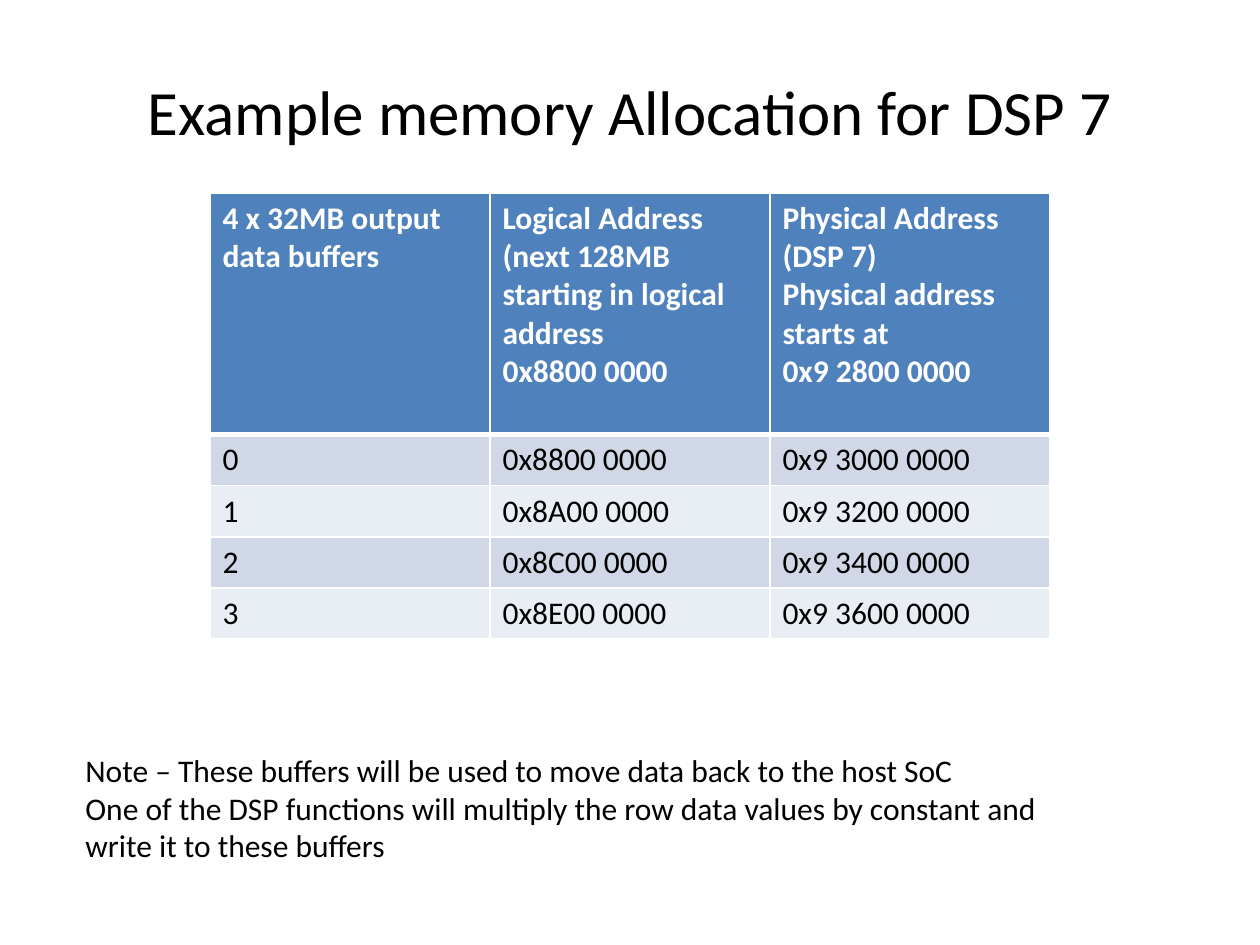
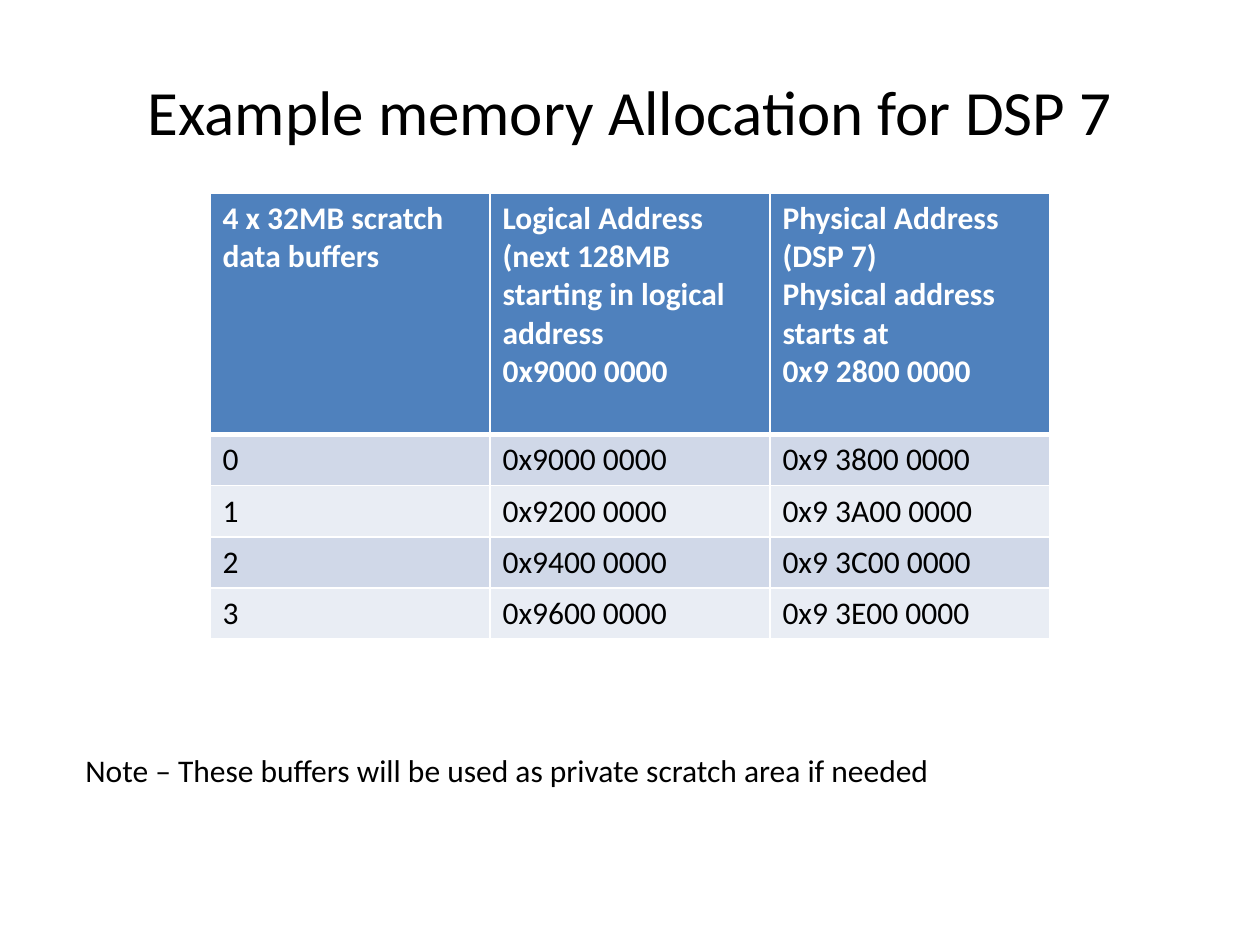
import pptx
import pptx.dml.color
import pptx.enum.text
import pptx.oxml
import pptx.oxml.ns
import pptx.util

COLORS = {
    "text": "000000",
    "header_text": "FFFFFF",
    "header": "4F81BD",
    "odd_row": "D0D8E8",
    "even_row": "E9EDF4",
    "border": "FFFFFF",
}
FONT = "Calibri"
TITLE = "Example memory Allocation for DSP 7"
BUFFER_SIZE = 0x200_0000  # 32 MB
BUFFER_COUNT = 4

SLIDES = [
    {
        "use": "output",
        "logical": 0x8800_0000,
        "physical": 0x9_3000_0000,
        "notes": [
            "Note – These buffers will be used to move data back to the host SoC",
            "One of the DSP functions will multiply the row data values by constant "
            "and write it to these buffers",
        ],
        "note_height": 1.01,
    },
    {
        "use": "scratch",
        "logical": 0x9000_0000,
        "physical": 0x9_3800_0000,
        "notes": ["Note – These buffers will be used as private scratch area if needed"],
        "note_height": 0.4,
    },
]


def style_text(text_frame, size, color, bold=False):
    for paragraph in text_frame.paragraphs:
        for run in paragraph.runs:
            run.font.name = FONT
            run.font.size = pptx.util.Pt(size)
            run.font.bold = bold
            run.font.color.rgb = pptx.dml.color.RGBColor.from_string(COLORS[color])


def format_address(address):
    return f"0x{address >> 16:X}"[:-4] + (
        f" {address >> 16 & 0xFFFF:04X} 0000" if address >> 32 else f"{address >> 16:04X} 0000"
    )


presentation = pptx.Presentation()
presentation.slide_width = pptx.util.Inches(10)
presentation.slide_height = pptx.util.Inches(7.5)
width = presentation.slide_width
title_only = presentation.slide_layouts[5]

for content in SLIDES:
    slide = presentation.slides.add_slide(title_only)

    # Title
    title = slide.shapes.title
    title.left, title.width = int(width * 0.075), int(width * 0.85)
    title.top, title.height = pptx.util.Inches(0.33), pptx.util.Inches(1.09)
    title.text_frame.text = TITLE
    title.text_frame.vertical_anchor = pptx.enum.text.MSO_ANCHOR.MIDDLE
    title.text_frame.paragraphs[0].alignment = pptx.enum.text.PP_ALIGN.CENTER
    style_text(title.text_frame, 36, "text")

    # Address table: a header row, then one row for each buffer
    rows = [[
        f"4 x 32MB {content['use']} data buffers",
        "Logical Address\n(next 128MB starting in logical address\n"
        + format_address(content["logical"]),
        "Physical Address (DSP 7)\nPhysical address starts at\n0x9 2800 0000",
    ]]
    for buffer in range(BUFFER_COUNT):
        offset = buffer * BUFFER_SIZE
        rows.append([
            str(buffer),
            format_address(content["logical"] + offset),
            format_address(content["physical"] + offset),
        ])

    header_height, row_height = pptx.util.Inches(1.92), pptx.util.Inches(0.405)
    table = slide.shapes.add_table(
        len(rows), 3, width // 6, pptx.util.Inches(1.53),
        width * 2 // 3, header_height + BUFFER_COUNT * row_height,
    ).table
    for row_index, row in enumerate(rows):
        is_header = row_index == 0
        table.rows[row_index].height = header_height if is_header else row_height
        fill = "header" if is_header else "odd_row" if row_index % 2 else "even_row"
        for column_index, text in enumerate(row):
            cell = table.cell(row_index, column_index)
            cell.text_frame.text = text
            style_text(cell.text_frame, 18, "header_text" if is_header else "text", is_header)

            # Borders come before the fill in the cell properties
            properties = cell._tc.get_or_add_tcPr()
            for side in ("lnL", "lnR", "lnT", "lnB"):
                under_header = (row_index, side) in ((0, "lnB"), (1, "lnT"))
                properties.append(pptx.oxml.parse_xml(
                    f'<a:{side} {pptx.oxml.ns.nsdecls("a")} '
                    f'w="{pptx.util.Pt(3 if under_header else 1)}">'
                    f'<a:solidFill><a:srgbClr val="{COLORS["border"]}"/></a:solidFill>'
                    f'</a:{side}>'
                ))
            cell.fill.solid()
            cell.fill.fore_color.rgb = pptx.dml.color.RGBColor.from_string(COLORS[fill])

    # Note below the table
    note = slide.shapes.add_textbox(
        int(width * 0.058), pptx.util.Inches(5.91),
        int(width * 0.833), pptx.util.Inches(content["note_height"]),
    )
    note.text_frame.word_wrap = True
    note.text_frame.auto_size = pptx.enum.text.MSO_AUTO_SIZE.SHAPE_TO_FIT_TEXT
    note.text_frame.text = "\n".join(content["notes"])
    style_text(note.text_frame, 18, "text")

presentation.save("out.pptx")
